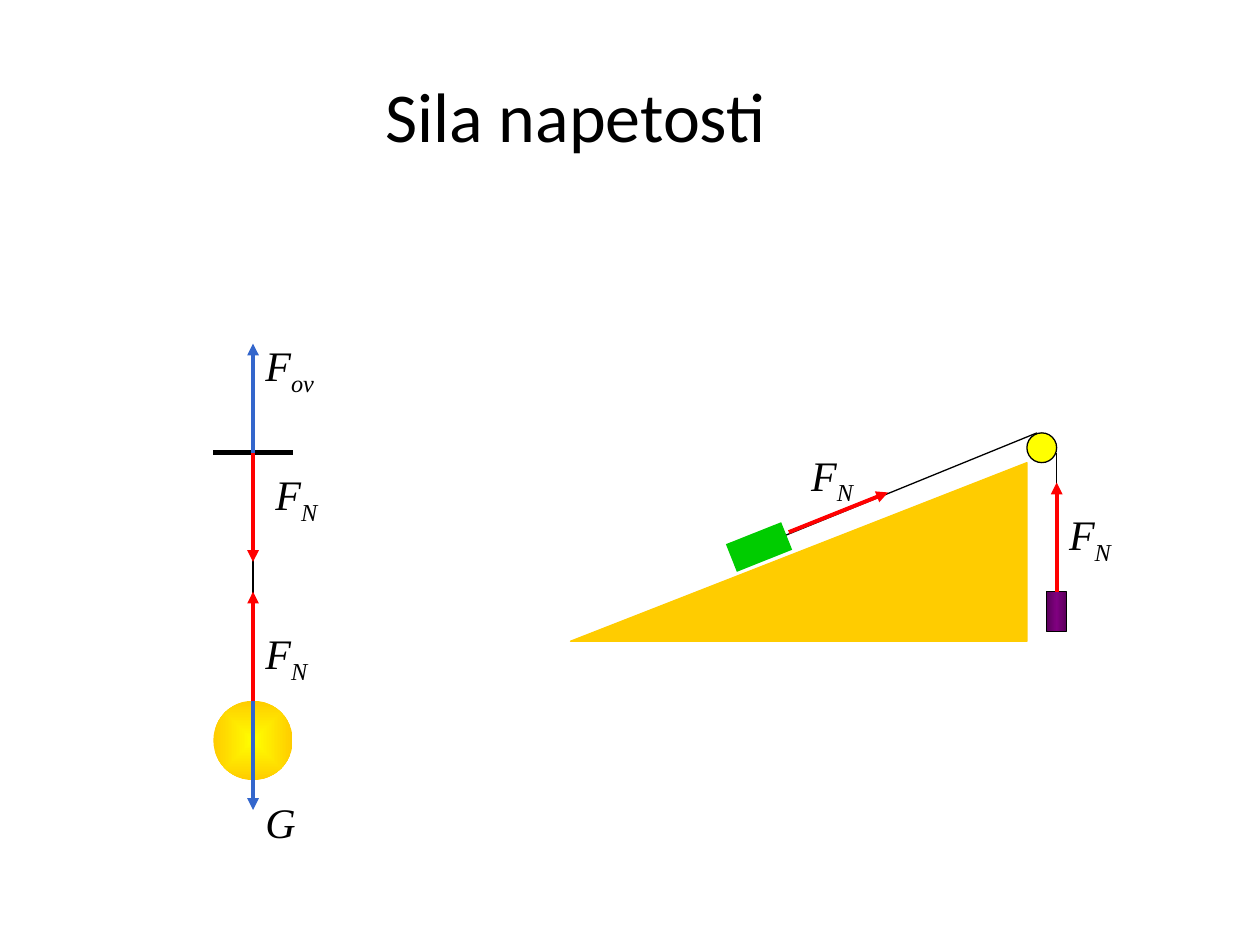
from lxml import etree
from pptx import Presentation
from pptx.dml.color import RGBColor
from pptx.enum.shapes import MSO_CONNECTOR, MSO_SHAPE
from pptx.enum.text import MSO_ANCHOR, MSO_AUTO_SIZE, PP_ALIGN
from pptx.oxml import parse_xml
from pptx.oxml.ns import nsdecls, qn
from pptx.util import Inches, Mm, Pt

STRAIGHT = MSO_CONNECTOR.STRAIGHT
OVAL, RECTANGLE = MSO_SHAPE.OVAL, MSO_SHAPE.RECTANGLE
MIDDLE, CENTER = MSO_ANCHOR.MIDDLE, PP_ALIGN.CENTER
FIT_SHAPE = MSO_AUTO_SIZE.SHAPE_TO_FIT_TEXT
TITLE_ONLY = 5
CELL = Mm(2)
ORIGIN_X, ORIGIN_Y = Inches(0.04), Inches(0.05)
THIN, ARROW, THICK = 0.75, 2.25, 3
COLORS = {
    "black": "000000", "tension": "FF0000", "other_force": "3366CC",
    "yellow": "FFFF00", "amber": "FFCC00", "block": "00CC00",
    "purple": "800080", "dark_purple": "5C005C",
}


def rgb(name):
    """Return the named colour."""
    return RGBColor.from_string(COLORS[name])


def point(column, row):
    """Return the slide position of a grid point."""
    return int(ORIGIN_X + column * CELL), int(ORIGIN_Y + row * CELL)


def box(column, row, columns, rows):
    """Return left, top, width and height of a block of grid cells."""
    return (*point(column, row), int(columns * CELL), int(rows * CELL))


def set_outline(shape, color, width=THIN):
    """Outline a shape, or remove its outline when no colour is given."""
    if color:
        shape.line.color.rgb = rgb(color)
        shape.line.width = Pt(width)
    else:
        shape.line.fill.background()


def set_gradient(shape, stops, direction):
    """Fill a shape with a gradient of (percent, colour) stops."""
    stop_xml = "".join(
        f'<a:gs pos="{percent * 1000}"><a:srgbClr val="{COLORS[color]}"/></a:gs>'
        for percent, color in stops
    )
    gradient = parse_xml(
        f'<a:gradFill {nsdecls("a")} rotWithShape="1">'
        f"<a:gsLst>{stop_xml}</a:gsLst>{direction}</a:gradFill>"
    )
    shape.fill.background()
    properties = shape._element.spPr
    properties.replace(properties.find(qn("a:noFill")), gradient)


def add_body(slide, kind, cells, fill=None, outline=None, rotation=0):
    """Add a preset shape over a block of grid cells."""
    shape = slide.shapes.add_shape(kind, *box(*cells))
    shape.shadow.inherit = False
    shape.rotation = rotation
    if fill:
        shape.fill.solid()
        shape.fill.fore_color.rgb = rgb(fill)
    set_outline(shape, outline)
    return shape


def add_line(slide, start, end, color="black", width=THIN):
    """Add a straight line between two grid points."""
    line = slide.shapes.add_connector(STRAIGHT, *point(*start), *point(*end))
    set_outline(line, color, width)
    etree.SubElement(line._element.spPr, qn("a:effectLst"))
    return line


def add_force(slide, start, end, color="tension"):
    """Add a force arrow pointing at the end point."""
    arrow = add_line(slide, start, end, color, ARROW)
    etree.SubElement(arrow.line._get_or_add_ln(), qn("a:tailEnd"), type="triangle")
    return arrow


def add_label(slide, column, row, columns, symbol, subscript=""):
    """Add an italic force symbol with an optional subscript."""
    label = slide.shapes.add_textbox(*box(column, row, columns, 6.4))
    text_frame = label.text_frame
    text_frame.word_wrap = False
    text_frame.auto_size = FIT_SHAPE
    text_frame.text = symbol
    paragraph = text_frame.paragraphs[0]
    if subscript:
        run = paragraph.add_run()
        run.text = subscript
        run._r.get_or_add_rPr().set("baseline", "-25000")
    for run in paragraph.runs:
        run.font.name = "Times New Roman"
        run.font.size = Pt(24)
        run.font.italic = True
        run.font.color.rgb = rgb("black")


def add_title(slide, text):
    """Place and format the title placeholder."""
    title = slide.shapes.title
    title.left, title.top, title.width, title.height = box(37, 6, 41, 9.8)
    text_frame = title.text_frame
    text_frame.text = text
    text_frame.word_wrap = False
    text_frame.auto_size = FIT_SHAPE
    text_frame.vertical_anchor = MIDDLE
    paragraph = text_frame.paragraphs[0]
    paragraph.alignment = CENTER
    font = paragraph.runs[0].font
    font.name, font.size = "Calibri", Pt(40)
    font.color.rgb = rgb("black")


def add_incline(slide):
    """Draw the block on the slope, joined over a pulley to the weight."""
    add_body(slide, OVAL, (103, 43, 3, 3), "yellow", "black")
    add_line(slide, (106, 45), (106, 60))
    weight = add_body(slide, RECTANGLE, (105, 59, 2, 4), outline="black")
    set_gradient(
        weight,
        [(0, "dark_purple"), (50, "purple"), (100, "dark_purple")],
        '<a:lin ang="0" scaled="1"/>',
    )
    add_line(slide, (104, 43), (77, 54))
    add_force(slide, (79, 53), (89, 49))
    add_force(slide, (106, 59), (106, 48)).begin_connect(weight, 0)
    add_body(slide, RECTANGLE, (73, 53, 6, 3), "block", rotation=338.3)

    builder = slide.shapes.build_freeform(*point(57, 64))
    builder.add_line_segments([point(103, 64), point(103, 46)], close=True)
    slope = builder.convert_to_shape()
    slope.shadow.inherit = False
    slope.fill.solid()
    slope.fill.fore_color.rgb = rgb("amber")
    set_outline(slope, "amber")

    add_label(slide, 80, 44, 7, "F", "N")
    add_label(slide, 106, 50, 7, "F", "N")


def add_pendulum(slide):
    """Draw the ball hanging from the ceiling with its forces."""
    ball = add_body(slide, OVAL, (21, 70, 8, 8))
    set_gradient(
        ball,
        [(0, "yellow"), (100, "amber")],
        '<a:path path="shape">'
        '<a:fillToRect l="50000" t="50000" r="50000" b="50000"/></a:path>',
    )
    add_line(slide, (21, 45), (29, 45), width=THICK)
    add_line(slide, (25, 66), (25, 45))
    add_force(slide, (25, 70), (25, 81), "other_force")
    add_force(slide, (25, 45), (25, 56))
    add_force(slide, (25, 70), (25, 59))
    add_force(slide, (25, 45), (25, 34), "other_force")
    add_label(slide, 25, 62, 7, "F", "N")
    add_label(slide, 26, 46, 7, "F", "N")
    add_label(slide, 25, 79, 5.6, "G")
    add_label(slide, 25, 33, 7.75, "F", "ov")


def main():
    """Build and save the slide."""
    presentation = Presentation()
    presentation.slide_width, presentation.slide_height = Inches(10), Inches(7.5)
    slide = presentation.slides.add_slide(presentation.slide_layouts[TITLE_ONLY])
    add_title(slide, "Sila napetosti")
    add_incline(slide)
    add_pendulum(slide)
    presentation.save("out.pptx")


if __name__ == "__main__":
    main()
